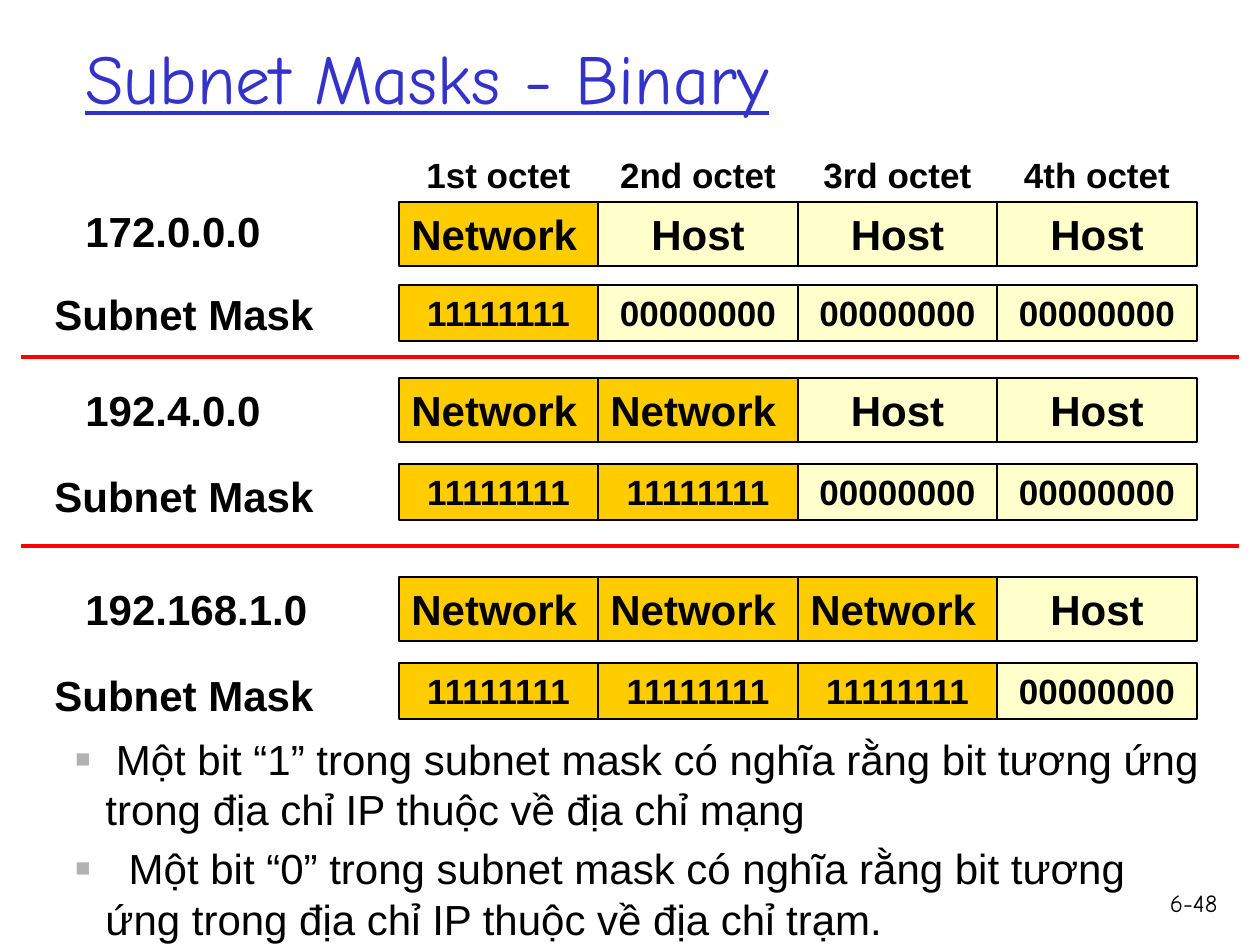
from lxml import etree
from pptx import Presentation
from pptx import util as u
from pptx.dml.color import RGBColor
from pptx.enum import shapes, text
from pptx.oxml import ns

PX = 914400 // 126
BLACK, BLUE, RED, GREY = "000000", "3333CC", "FF0000", "B2B2B2"
NETWORK, HOST = "FFCC00", "FFFFCC"
LEFT, CENTER, RIGHT = text.PP_ALIGN.LEFT, text.PP_ALIGN.CENTER, text.PP_ALIGN.RIGHT


def px(*values):
    return [u.Emu(v * PX) for v in values]


def color(hex_string):
    return RGBColor.from_string(hex_string)


def style(r, size, name="Arial", bold=False, fill=BLACK):
    r.font.size, r.font.name, r.font.bold = u.Pt(size), name, bold
    r.font.color.rgb = color(fill)


def set_text(sp, words, size, align=LEFT, anchor=text.MSO_ANCHOR.TOP, **font):
    tf = sp.text_frame
    tf.text, tf.word_wrap, tf.vertical_anchor = words, True, anchor
    p = tf.paragraphs[0]
    p.alignment = align
    style(p.runs[0], size, **font)
    return p.runs[0]


def add_label(s, box, words, size, **options):
    return set_text(s.shapes.add_textbox(*px(*box)), words, size, **options)


def columns(box):
    """Split a box into four equal cells."""
    x, y, w, h = box
    edges = [x + w * i // 4 for i in range(5)]
    return [(a, y, b - a, h) for a, b in zip(edges, edges[1:])]


def add_title(s, box):
    r = add_label(s, box, "Subnet Masks - Binary", 40, name="Comic Neue",
                  fill=BLUE, anchor=text.MSO_ANCHOR.MIDDLE)
    r.font.underline = True


def add_octet_headings(s, box):
    for cell, rank in zip(columns(box), ("1st", "2nd", "3rd", "4th")):
        add_label(s, cell, f"{rank} octet", 20, align=CENTER, bold=True)


def add_octets(s, box, networks, words, size, network_align):
    for i, cell in enumerate(columns(box)):
        is_network = i < networks
        sp = s.shapes.add_shape(shapes.MSO_SHAPE.RECTANGLE, *px(*cell))
        sp.shadow.inherit = False
        sp.fill.solid()
        sp.fill.fore_color.rgb = color(NETWORK if is_network else HOST)
        sp.line.color.rgb, sp.line.width = color(BLACK), u.Pt(0.75)
        set_text(sp, words[0] if is_network else words[1], size,
                 align=network_align if is_network else CENTER, bold=True)


def add_address(s, box, address, networks, lift):
    """Address row with its mask row below; lift tightens the labels and mask."""
    x, y, w, _ = box
    mask_y = y + 86 - lift
    add_label(s, (x + 31, y - lift, 315, 63), address, 24, bold=True)
    add_label(s, (x, mask_y - lift, 336, 63), "Subnet Mask", 24, bold=True)
    add_octets(s, (x + 357, y, w - 357, 64), networks, ("Network", "Host"), 24, LEFT)
    add_octets(s, (x + 357, mask_y, w - 357, 56), networks,
               ("1" * 8, "0" * 8), 20, CENTER)


def add_divider(s, x, y, w):
    line = s.shapes.add_connector(shapes.MSO_CONNECTOR.STRAIGHT, *px(x, y, x + w, y))
    line.line.color.rgb, line.line.width = color(RED), u.Pt(2)
    etree.SubElement(line._element.spPr, ns.qn("a:effectLst"))


def add_bullet(p):
    pPr = p._p.get_or_add_pPr()
    pPr.set("marL", str(30 * PX))
    pPr.set("indent", str(-30 * PX))
    clr = etree.SubElement(pPr, ns.qn("a:buClr"))
    etree.SubElement(clr, ns.qn("a:srgbClr"), val=GREY)
    etree.SubElement(pPr, ns.qn("a:buSzPct"), val="60000")
    etree.SubElement(pPr, ns.qn("a:buFont"), typeface="Arial")
    etree.SubElement(pPr, ns.qn("a:buChar"), char="■")


def add_notes_on_bits(s, box):
    # Each line: font and extra width of the opening space, then the wording
    lines = (
        ("Roboto", 0, "Một bit “1” trong subnet mask có nghĩa rằng bit tương ứng "
                      "trong địa chỉ IP thuộc về địa chỉ mạng"),
        ("Arial", 6.67, "Một bit “0” trong subnet mask có nghĩa rằng bit tương ứng "
                        "trong địa chỉ IP thuộc về địa chỉ trạm."),
    )
    tf = s.shapes.add_textbox(*px(*box)).text_frame
    tf.word_wrap = True
    for i, (lead_font, extra, words) in enumerate(lines):
        p = tf.add_paragraph() if i else tf.paragraphs[0]
        add_bullet(p)
        if i:
            p.space_before = u.Pt(5)
        for name, part in ((lead_font, " "), ("Arial", words)):
            r = p.add_run()
            r.text = part
            style(r, 24, name)
        if extra:
            p.runs[0].font._element.set("spc", str(round(extra * 100)))


def main():
    prs = Presentation()
    prs.slide_width, prs.slide_height = px(1260, 945)
    s = prs.slides.add_slide(prs.slide_layouts[6])

    add_title(s, (73, -3, 1071, 158))
    add_octet_headings(s, (399, 147, 798, 54))

    # Address blocks, one per network size
    blocks = ((202, "172.0.0.0", 3), (378, "192.4.0.0", 0), (577, "192.168.1.0", 0))
    for networks, (y, address, lift) in enumerate(blocks, start=1):
        add_address(s, (42, y, 1155, 142), address, networks, lift)
    for y in (357, 546):
        add_divider(s, 21, y, 1218)

    add_notes_on_bits(s, (63, 727, 1155, 184))
    add_label(s, (1144, 882, 86, 63), "6-48", 14, align=RIGHT, name="Comic Neue")
    prs.save("out.pptx")


if __name__ == "__main__":
    main()
